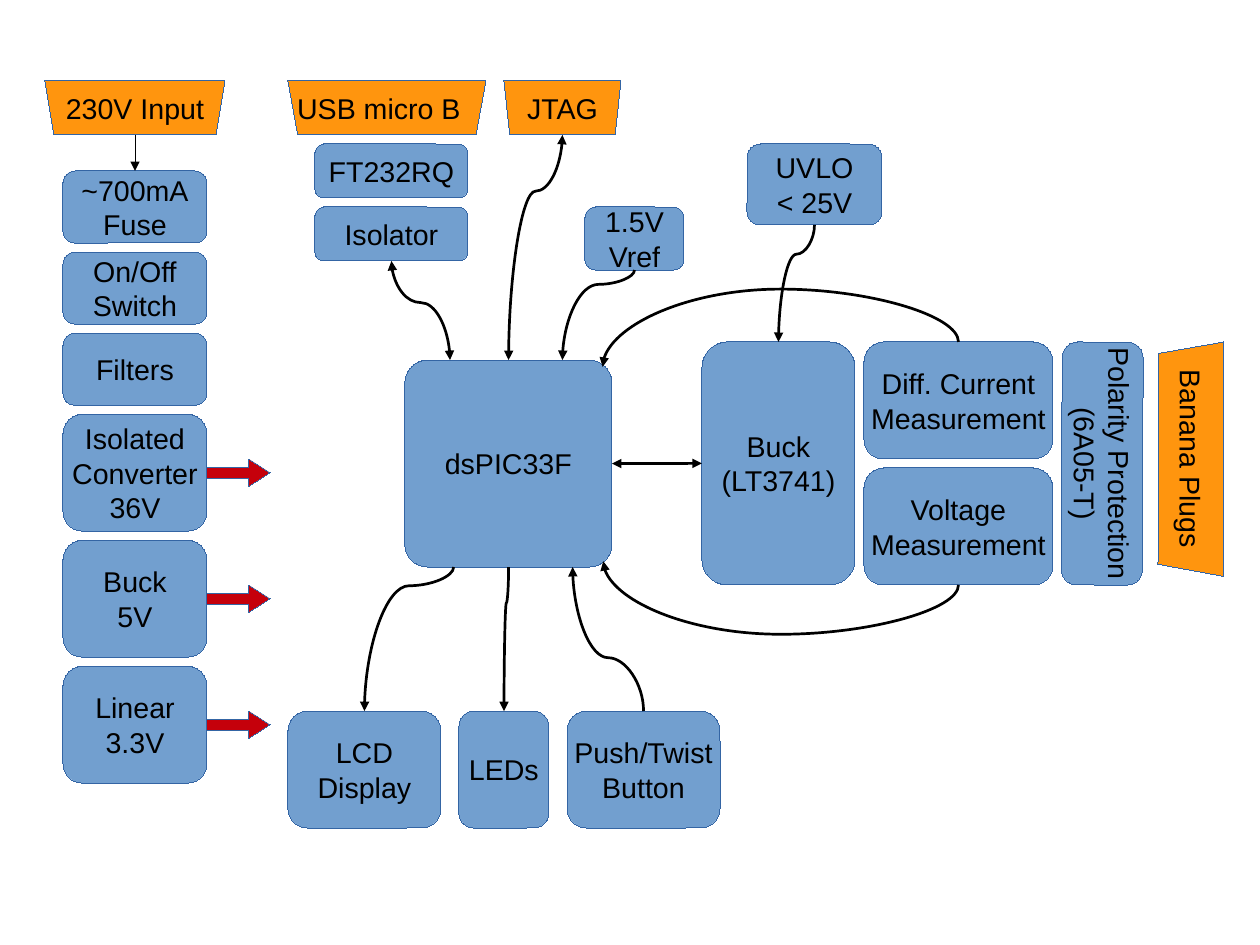
from lxml import etree
from pptx import Presentation
from pptx.dml.color import RGBColor
from pptx.enum import shapes, text
from pptx.oxml import ns
from pptx.util import Pt

BLUE, ORANGE, RED, EDGE, BLACK = "729FCF", "FF950E", "C5000B", "3465A4", "000000"
ROUND = shapes.MSO_SHAPE.ROUNDED_RECTANGLE
GAP = 5.67


def style_shape(sp, fill, label=""):
    sp.shadow.inherit = False
    sp.fill.solid()
    sp.fill.fore_color.rgb = RGBColor.from_string(fill)
    sp.line.color.rgb = RGBColor.from_string(EDGE)
    sp.line._get_or_add_ln().set("w", "0")
    if not label:
        return
    tf = sp.text_frame
    tf.text = label
    tf.word_wrap = False
    tf.vertical_anchor = text.MSO_ANCHOR.MIDDLE
    for p in tf.paragraphs:
        p.alignment = text.PP_ALIGN.CENTER
        p.font.name = "Arial"
        p.font.size = Pt(18)
        p.font.color.rgb = RGBColor.from_string(BLACK)


def style_connector(c, width, ends):
    c.line.color.rgb = RGBColor.from_string(BLACK)
    ln = c.line._get_or_add_ln()
    ln.set("w", str(Pt(width)))
    for end in ends:
        etree.SubElement(ln, ns.qn(f"a:{end}"), type="triangle")
    etree.SubElement(c._element.spPr, ns.qn("a:effectLst"))


prs = Presentation()
prs.slide_width, prs.slide_height = Pt(793.75), Pt(595.25)
s = prs.slides.add_slide(prs.slide_layouts[6])

boxes = {}
for label, x, y, w, h in [
    ("dsPIC33F", 255.1, 226.8, 130.4, 130.4),
    ("Buck\n(LT3741)", 442.2, 215.4, 96.4, 153),
    ("Diff. Current\nMeasurement", 544.3, 215.4, 119, 73.7),
    ("Voltage\nMeasurement", 544.3, 294.8, 119, 73.7),
    ("Polarity Protection\n(6A05-T)", 617.9, 266.5, 153, 51),
    ("FT232RQ", 198.4, 90.7, 96.4, 34),
    ("Isolator", 198.4, 130.4, 96.4, 34),
    ("1.5V\nVref", 368.5, 130.4, 62.4, 39.7),
    ("UVLO\n< 25V", 470.6, 90.7, 85, 51),
    ("LCD\nDisplay", 181.4, 447.9, 96.4, 73.7),
    ("LEDs", 289.1, 447.9, 56.7, 73.7),
    ("Push/Twist\nButton", 357.2, 447.9, 96.4, 73.7),
]:
    sp = s.shapes.add_shape(ROUND, Pt(x), Pt(y), Pt(w), Pt(h))
    style_shape(sp, BLUE, label)
    boxes[label] = sp
boxes["dsPIC33F"].adjustments[0] = 0.11
boxes["Polarity Protection\n(6A05-T)"].adjustments[0] = 0.19
boxes["Polarity Protection\n(6A05-T)"].rotation = 90.2

y = 107.7
for label, h, is_rail in [
    ("~700mA\nFuse", 45.4, False),
    ("On/Off\nSwitch", 45.4, False),
    ("Filters", 45.4, False),
    ("Isolated\nConverter\n36V", 73.7, True),
    ("Buck\n5V", 73.7, True),
    ("Linear\n3.3V", 73.7, True),
]:
    sp = s.shapes.add_shape(ROUND, Pt(39.7), Pt(y), Pt(90.7), Pt(h))
    style_shape(sp, BLUE, label)
    boxes[label] = sp
    if is_rail:
        arrow = s.shapes.add_shape(shapes.MSO_SHAPE.RIGHT_ARROW,
                                   Pt(130.4), Pt(y + h / 2 - 8.5), Pt(39.7), Pt(17))
        arrow.adjustments[0], arrow.adjustments[1] = 0.4, 0.78
        style_shape(arrow, RED)
    y += h + GAP

for label, x, y, w, h, angle, margin in [
    ("230V Input", 28.3, 51, 113.4, 34, 0, 7.2),
    ("USB micro B", 181.4, 51, 124.7, 34, 0, 17.2),
    ("JTAG", 317.5, 51, 73.7, 34, 0, 7.2),
    ("Banana Plugs", 676.4, 268.6, 147.6, 41, 90.2, 7.2),
]:
    inset = 0.05 * w
    fb = s.shapes.build_freeform(Pt(x), Pt(y))
    fb.add_line_segments([(Pt(x + w), Pt(y)), (Pt(x + w - inset), Pt(y + h)),
                          (Pt(x + inset), Pt(y + h))])
    sp = fb.convert_to_shape()
    sp.rotation = angle
    style_shape(sp, ORANGE, label)
    sp.text_frame.margin_right = Pt(margin)

c = s.shapes.add_connector(shapes.MSO_CONNECTOR.STRAIGHT, Pt(85.05), Pt(85), Pt(85.05), Pt(107.7))
c.end_connect(boxes["~700mA\nFuse"], 0)
style_connector(c, 0, ["tailEnd"])

c = s.shapes.add_connector(shapes.MSO_CONNECTOR.STRAIGHT, 0, 0, 0, 0)
c.begin_connect(boxes["dsPIC33F"], 3)
c.end_connect(boxes["Buck\n(LT3741)"], 1)
style_connector(c, 1.7, ["headEnd", "tailEnd"])

for x1, y1, x2, y2, bend, ends in [
    (285.8, 357.2, 229.6, 447.9, 0.13, ["tailEnd"]),
    (320.4, 357.2, 317.5, 447.9, 0.25, ["tailEnd"]),
    (405.4, 447.9, 360.7, 357.2, 0.37, ["tailEnd"]),
    (603.8, 215.4, 379.6, 231.1, -2.12, ["tailEnd"]),
    (603.8, 368.5, 380, 353.5, -2.07, ["tailEnd"]),
    (513.1, 141.7, 490.4, 215.4, 0.25, ["tailEnd"]),
    (399.7, 170.1, 354.3, 226.8, 0.16, ["tailEnd"]),
    (283.5, 226.8, 246.6, 164.4, 0.58, ["headEnd", "tailEnd"]),
    (354.3, 85, 320.4, 226.8, 0.25, ["headEnd", "tailEnd"]),
]:
    down = y2 > y1
    mid_x, mid_y = (x1 + x2) / 2, (y1 + y2) / 2
    half_w, half_h = abs(y2 - y1) / 2, (x1 - x2) / 2
    if not down:
        half_h = -half_h
    c = s.shapes.add_connector(shapes.MSO_CONNECTOR.CURVE,
                               Pt(mid_x - half_w), Pt(mid_y - half_h),
                               Pt(mid_x + half_w), Pt(mid_y + half_h))
    c._element.spPr.xfrm.set("rot", str((90 if down else 270) * 60000))
    av = c._element.xpath(".//a:avLst")[0]
    etree.SubElement(av, ns.qn("a:gd"), name="adj1", fmla=f"val {round(bend * 100000)}")
    style_connector(c, 1.7, ends)

prs.save("out.pptx")
